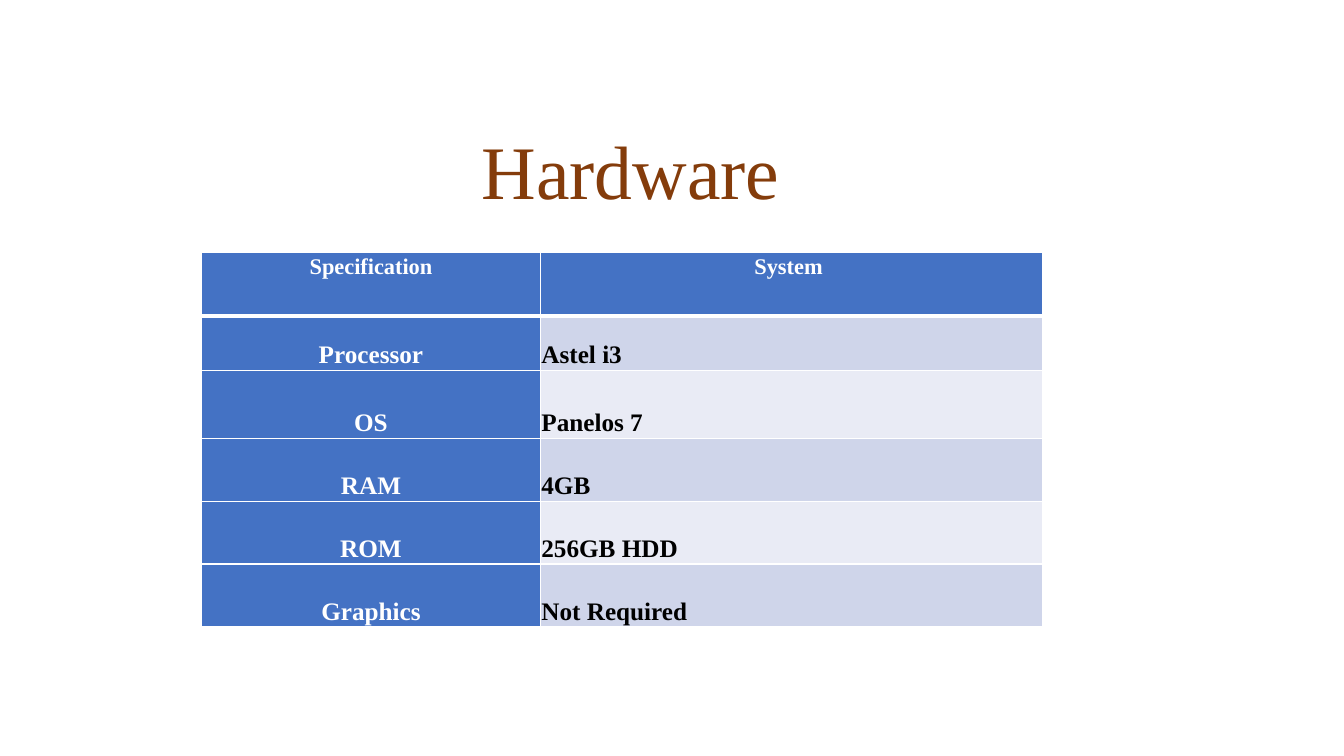
from lxml import etree
from pptx import Presentation
from pptx.dml.color import RGBColor
from pptx.enum.text import MSO_ANCHOR, MSO_AUTO_SIZE, PP_ALIGN
from pptx.oxml.ns import qn
from pptx.util import Pt

CENTER, JUSTIFY = PP_ALIGN.CENTER, PP_ALIGN.JUSTIFY
TOP, BOTTOM = MSO_ANCHOR.TOP, MSO_ANCHOR.BOTTOM
NO_AUTOFIT = MSO_AUTO_SIZE.NONE
TITLE_ONLY = 5
FONT = "Times New Roman"
COLORS = {
    "title": "843C0B",
    "header": "4472C4",
    "band_dark": "CFD5EA",
    "band_light": "E9EBF5",
    "white": "FFFFFF",
    "black": "000000",
}
COLUMN_WIDTHS = [242, 358.5]
ROW_HEIGHTS = [45, 39, 48.5, 45, 45, 45]
SPECIFICATIONS = [
    ("Specification", "System "),
    ("Processor", "Astel i3 "),
    ("OS", "Panelos 7"),
    ("RAM", "4GB "),
    ("ROM", "256GB HDD"),
    ("Graphics", "Not Required"),
]


def color(name):
    return RGBColor.from_string(COLORS[name])


def write_text(paragraph, text, size, color_name, alignment, spacing, bold=False):
    paragraph.alignment = alignment
    paragraph.line_spacing = spacing
    run = paragraph.add_run()
    run.text = text
    run.font.name = FONT
    run.font.size = Pt(size)
    run.font.bold = bold
    run.font.color.rgb = color(color_name)


def add_title(slide, text):
    title = slide.shapes.title
    title.left, title.top, title.width, title.height = Pt(54.5), Pt(84), Pt(792), Pt(73.5)
    frame = title.text_frame
    frame.auto_size = NO_AUTOFIT
    frame.word_wrap = True
    frame.vertical_anchor = BOTTOM
    write_text(frame.paragraphs[0], text, 54, "title", CENTER, 0.9)


def set_borders(cell, top, bottom):
    """Draw white borders; must run before the cell is filled."""
    properties = cell._tc.get_or_add_tcPr()
    for side, width in (("L", 1), ("R", 1), ("T", top), ("B", bottom)):
        line = etree.SubElement(properties, qn(f"a:ln{side}"), w=str(Pt(width)))
        fill = etree.SubElement(line, qn("a:solidFill"))
        etree.SubElement(fill, qn("a:srgbClr"), val=COLORS["white"])


def fill_cell(cell, row, column, text):
    is_header = row == 0
    is_label = is_header or column == 0
    set_borders(cell, top=3 if row == 1 else 1, bottom=3 if is_header else 1)
    band = "band_dark" if row % 2 else "band_light"
    cell.fill.solid()
    cell.fill.fore_color.rgb = color("header" if is_label else band)
    cell.vertical_anchor = TOP if is_header else BOTTOM
    cell.margin_left = cell.margin_right = Pt(5 if is_header else 0.75)
    cell.margin_top = cell.margin_bottom = Pt(0 if is_header else 0.75)
    paragraph = cell.text_frame.paragraphs[0]
    paragraph.space_after = Pt(8)
    write_text(paragraph, text, 16 if is_header else 18,
               "white" if is_label else "black",
               CENTER if is_label else JUSTIFY, 1.07, bold=True)


def add_specification_table(slide):
    table = slide.shapes.add_table(
        len(ROW_HEIGHTS), len(COLUMN_WIDTHS), Pt(144), Pt(180.5),
        Pt(sum(COLUMN_WIDTHS)), Pt(sum(ROW_HEIGHTS))).table
    table.first_col = True
    for column, width in zip(table.columns, COLUMN_WIDTHS):
        column.width = Pt(width)
    for row, height in zip(table.rows, ROW_HEIGHTS):
        row.height = Pt(height)
    for row, texts in enumerate(SPECIFICATIONS):
        for column, text in enumerate(texts):
            fill_cell(table.cell(row, column), row, column, text)


def main():
    presentation = Presentation()
    presentation.slide_width, presentation.slide_height = Pt(960), Pt(540)
    slide = presentation.slides.add_slide(presentation.slide_layouts[TITLE_ONLY])
    add_title(slide, "Hardware")
    add_specification_table(slide)
    presentation.save("out.pptx")


if __name__ == "__main__":
    main()
